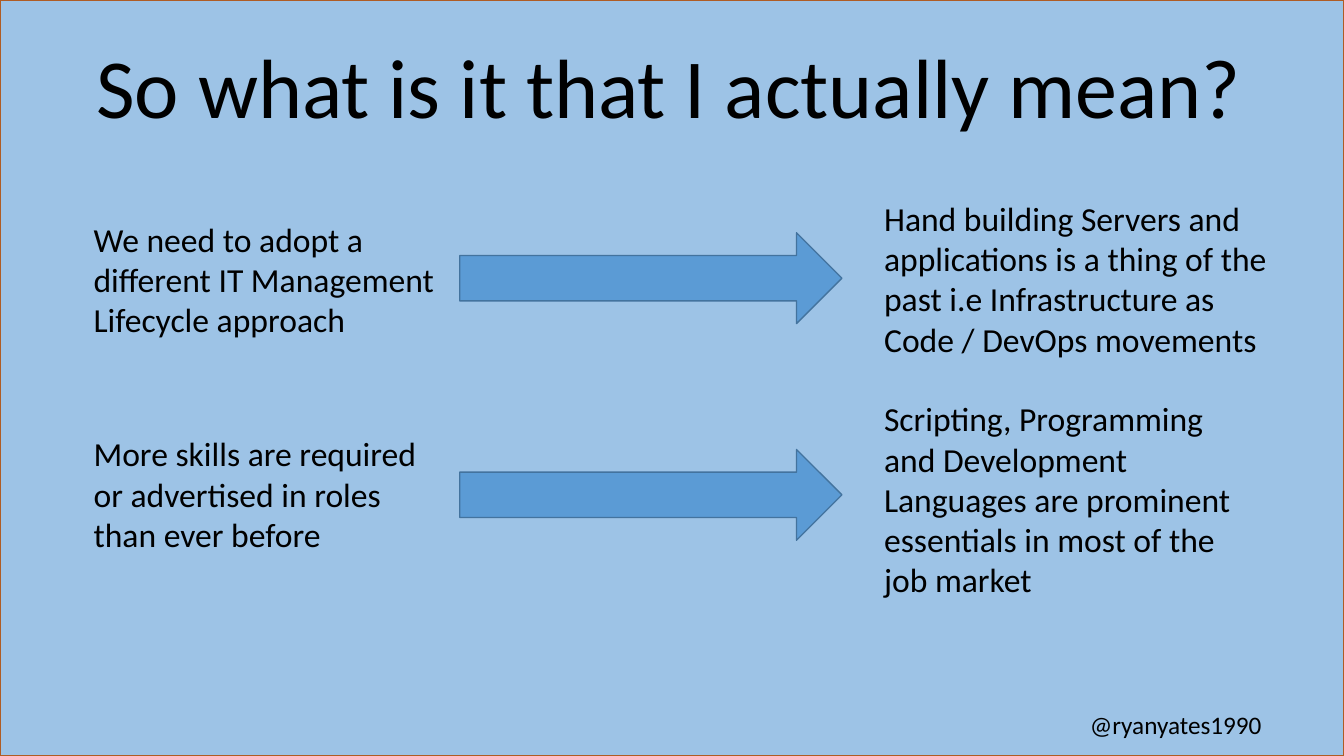
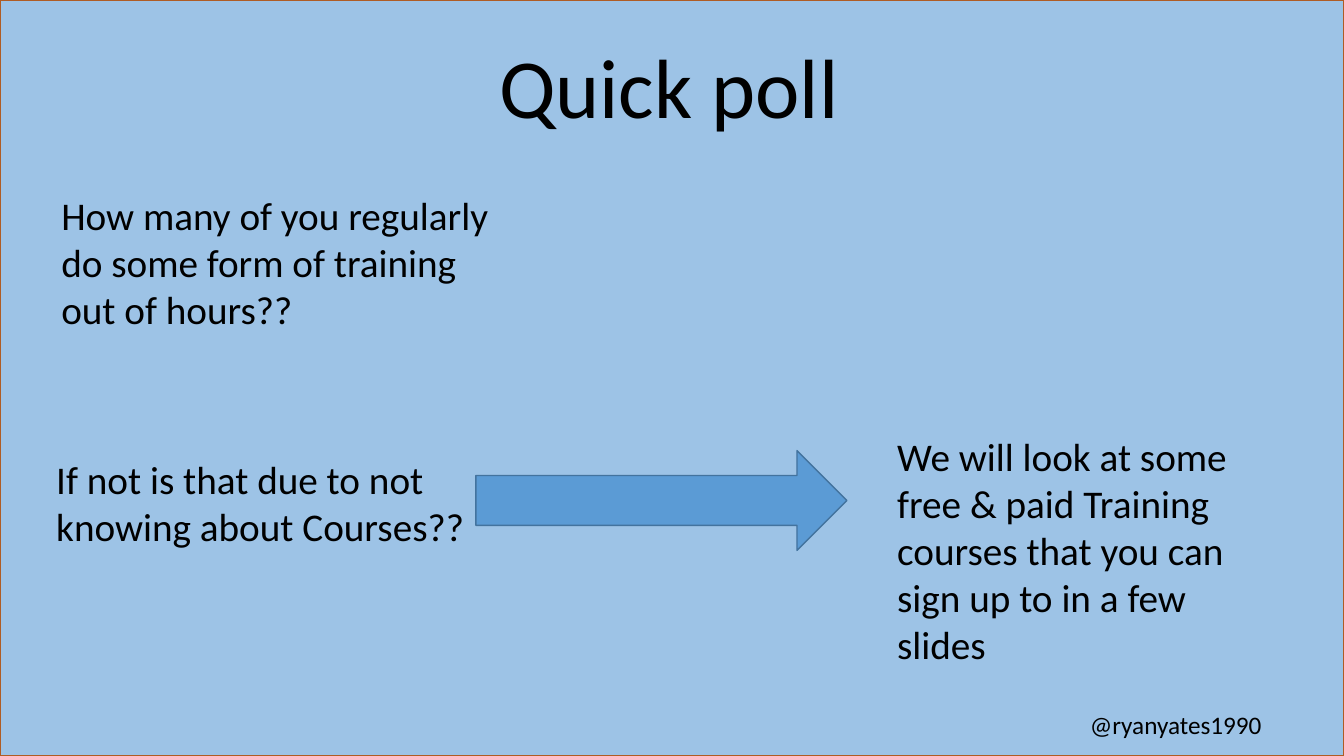
"""Build two slides of statements joined by block arrows."""
from pptx import Presentation
from pptx.dml.color import RGBColor
from pptx.enum.shapes import MSO_SHAPE as Kind
from pptx.enum.text import MSO_ANCHOR as Anchor, MSO_AUTO_SIZE as Fit, PP_ALIGN as Align
from pptx.util import Inches, Pt

SKY = RGBColor(0x9D, 0xC3, 0xE6)
RUST = RGBColor(0xAF, 0x5C, 0x24)
BLUE = RGBColor(0x5B, 0x9B, 0xD5)
NAVY = RGBColor(0x43, 0x73, 0x9E)
BLACK = RGBColor(0, 0, 0)
FONT = "Calibri"
WIDE, HIGH = 13.33, 7.5

HANDLE = ("@ryanyates1990", (10.71, 6.99, 2.45, 0.4))
TITLE = (0.11, 0.2, 13.05, 1.21)

SLIDES = [
    {
        "title": "So what is it that I actually mean?",
        "size": 24,
        "texts": [
            ("We need to adopt a different IT Management Lifecycle approach",
             (0.83, 2.12, 3.95, 1.31)),
            ("Hand building Servers and applications is a thing of the past "
             "i.e Infrastructure as Code / DevOps movements",
             (8.67, 1.91, 4.15, 1.72)),
            ("More skills are required or advertised in roles than ever before",
             (0.83, 4.25, 3.53, 1.31)),
            ("Scripting, Programming and Development Languages are prominent "
             "essentials in most of the job market",
             (8.67, 3.9, 3.67, 2.12)),
        ],
        "arrows": [(4.56, top, 3.79, 0.9) for top in (2.31, 4.46)],
    },
    {
        "title": "Quick poll",
        "size": 28,
        "texts": [
            ("How many of you regularly do some form of training out of hours??",
             (0.51, 1.85, 4.73, 1.51)),
            ("If not is that due to not knowing about Courses??",
             (0.46, 4.47, 4.73, 1.04)),
            ("We will look at some free & paid Training courses that you can "
             "sign up to in a few slides",
             (8.8, 4.24, 3.83, 2.46)),
        ],
        "arrows": [(4.72, 4.47, 3.68, 0.99)],
    },
]


def apply(thing, **values):
    for name, value in values.items():
        setattr(thing, name, value)


def write(frame, text, size, **format):
    frame.text = text
    apply(frame, word_wrap=True, **format)
    apply(frame.paragraphs[0].font, name=FONT, size=Pt(size))
    frame.paragraphs[0].font.color.rgb = BLACK


def add_text(slide, text, box, size):
    label = slide.shapes.add_textbox(*map(Inches, box))
    write(label.text_frame, text, size, auto_size=Fit.SHAPE_TO_FIT_TEXT)


def add_block(slide, kind, box, fill, edge):
    block = slide.shapes.add_shape(kind, *map(Inches, box))
    block.shadow.inherit = False
    block.fill.solid()
    block.fill.fore_color.rgb = fill
    block.line.color.rgb = edge
    block.line.width = Pt(1)
    return block


def set_title(slide, text):
    title = slide.shapes.title
    apply(title, **dict(zip(("left", "top", "width", "height"), map(Inches, TITLE))))
    write(title.text_frame, text, 60, auto_size=Fit.NONE, vertical_anchor=Anchor.BOTTOM)
    apply(title.text_frame.paragraphs[0], alignment=Align.CENTER, line_spacing=0.9)


def add_slide(deck, page):
    slide = deck.slides.add_slide(deck.slide_layouts[5])
    panel = add_block(slide, Kind.RECTANGLE, (0, 0, WIDE, HIGH), SKY, RUST)
    slide.shapes.title._element.addprevious(panel._element)
    set_title(slide, page["title"])
    add_text(slide, *HANDLE, 18)
    for text, box in page["texts"]:
        add_text(slide, text, box, page["size"])
    for box in page["arrows"]:
        add_block(slide, Kind.RIGHT_ARROW, box, BLUE, NAVY)


deck = Presentation()
apply(deck, slide_width=Inches(WIDE), slide_height=Inches(HIGH))
for page in SLIDES:
    add_slide(deck, page)
deck.save("out.pptx")
